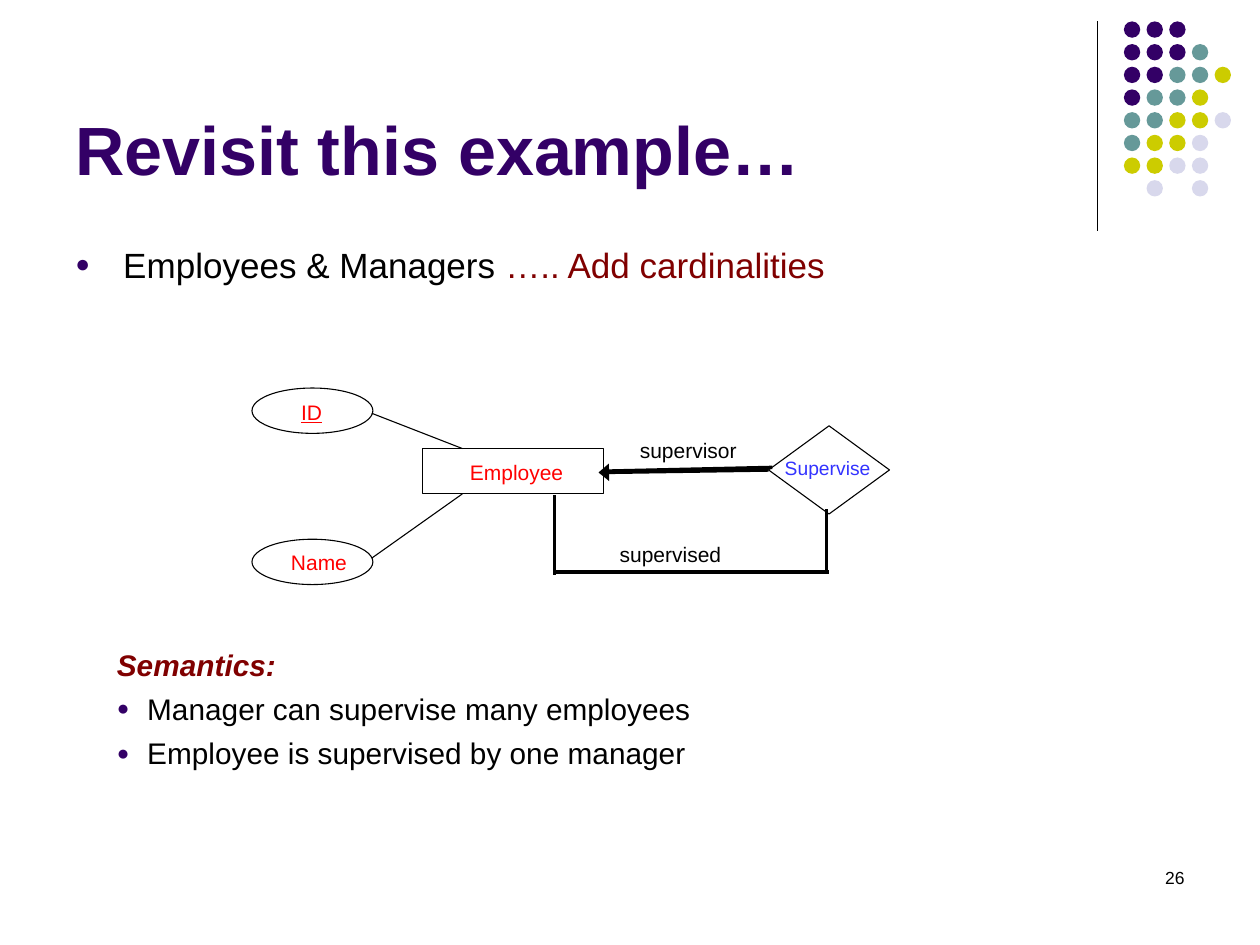
from lxml import etree
from pptx import Presentation
from pptx.dml.color import RGBColor
from pptx.enum.shapes import MSO_CONNECTOR, MSO_SHAPE
from pptx.enum.text import MSO_ANCHOR, MSO_AUTO_SIZE, PP_ALIGN
from pptx.oxml.ns import qn
from pptx.util import Inches, Pt

STRAIGHT = MSO_CONNECTOR.STRAIGHT
OVAL, RECTANGLE, DIAMOND = MSO_SHAPE.OVAL, MSO_SHAPE.RECTANGLE, MSO_SHAPE.DIAMOND
TOP, BOTTOM = MSO_ANCHOR.TOP, MSO_ANCHOR.BOTTOM
LEFT, RIGHT = PP_ALIGN.LEFT, PP_ALIGN.RIGHT
FIXED, GROW = MSO_AUTO_SIZE.NONE, MSO_AUTO_SIZE.SHAPE_TO_FIT_TEXT

BLACK = RGBColor(0x00, 0x00, 0x00)
PURPLE = RGBColor(0x33, 0x00, 0x66)
TEAL = RGBColor(0x66, 0x99, 0x99)
OLIVE = RGBColor(0xCC, 0xCC, 0x00)
LAVENDER = RGBColor(0xD8, 0xD8, 0xEC)
MAROON = RGBColor(0x80, 0x00, 0x00)
RED = RGBColor(0xFF, 0x00, 0x00)
BLUE = RGBColor(0x33, 0x33, 0xFF)

FONT = "Arial"
THIN, THICK = 0.62, 2
LEFT_SITE, RIGHT_SITE = 1, 3

DOT_ROWS = ["PPP", "PPPT", "PPTTO", "PTTO", "TTOOL", "TOOL", "OOLL", " L L"]
DOT_COLORS = {"P": PURPLE, "T": TEAL, "O": OLIVE, "L": LAVENDER}
DOT_LEFT, DOT_TOP, DOT_PITCH, DOT_SIZE = 8.92, 0.17, 0.18, 0.13

TITLE = [[("Revisit this example…", {"bold": True})]]
PAGE_NUMBER = [[("26", {})]]
TOPIC = [[("Employees & Managers ", {}), ("….. Add cardinalities", {"color": MAROON})]]
SEMANTICS_HEADING = [("Semantics:", {"color": MAROON, "bold": True, "italic": True})]
SEMANTICS = [
    [("Manager can supervise many employees", {})],
    [("Employee is supervised by one manager", {})],
]

NODES = {
    "employee": (RECTANGLE, (3.35, 3.56, 1.44, 0.36)),
    "id": (OVAL, (2, 3.08, 0.96, 0.36)),
    "name": (OVAL, (2, 4.28, 0.96, 0.36)),
    "supervise": (DIAMOND, (6.1, 3.38, 0.96, 0.7)),
}
NODE_LABELS = [
    ("Employee", (3.73, 3.65, 0.76, 0.2), {"color": RED}),
    ("ID", (2.39, 3.17, 0.18, 0.2), {"color": RED, "underline": True}),
    ("Name", (2.31, 4.36, 0.46, 0.2), {"color": RED}),
]
ROLE_LABELS = [
    ("Supervise", (6.13, 3.57, 0.9, 0.29), {"size": 11, "color": BLUE}),
    ("supervisor", (4.98, 3.42, 0.99, 0.3), {}),
    ("supervised", (4.82, 4.25, 1.02, 0.3), {}),
]
ATTRIBUTE_LINES = [((3.67, 3.56), (2.95, 3.28)), ((3.67, 3.92), (2.95, 4.43))]
SUPERVISED_LINES = [
    ((4.4, 4.54), (6.58, 4.54)),
    ((6.56, 4.54), (6.56, 4.04)),
    ((4.4, 4.56), (4.4, 3.93)),
]


def add_bullet(paragraph, indent):
    props = paragraph._p.get_or_add_pPr()
    props.set("marL", str(Inches(indent)))
    props.set("indent", str(-Inches(indent)))
    color = etree.SubElement(props, qn("a:buClr"))
    etree.SubElement(color, qn("a:srgbClr"), val=str(PURPLE))
    etree.SubElement(props, qn("a:buSzPct"), val="70000")
    etree.SubElement(props, qn("a:buFont"), typeface=FONT)
    etree.SubElement(props, qn("a:buChar"), char="●")


def add_text(slide, box, paragraphs, size=12, color=BLACK, align=LEFT, anchor=TOP,
             inset=(0.1, 0.05), wrap=True, space=0, bullets=None):
    frame = slide.shapes.add_textbox(*map(Inches, box)).text_frame
    frame.word_wrap = wrap
    frame.auto_size = FIXED if wrap else GROW
    frame.vertical_anchor = anchor
    frame.margin_left = frame.margin_right = Inches(inset[0])
    frame.margin_top = frame.margin_bottom = Inches(inset[1])
    for index, runs in enumerate(paragraphs):
        paragraph = frame.paragraphs[0] if index == 0 else frame.add_paragraph()
        paragraph.alignment = align
        paragraph.space_before = Pt(space)
        if bullets and bullets[index]:
            add_bullet(paragraph, bullets[index])
        for words, style in runs:
            run = paragraph.add_run()
            run.text = words
            font = run.font
            font.name, font.size = FONT, Pt(size)
            font.color.rgb = style.get("color", color)
            font.bold = style.get("bold", False)
            font.italic = style.get("italic", False)
            font.underline = style.get("underline", False)


def add_shape(slide, kind, box, fill=None):
    shape = slide.shapes.add_shape(kind, *map(Inches, box))
    shape.shadow.inherit = False
    if fill is None:
        shape.fill.background()
        shape.line.color.rgb = BLACK
        shape.line.width = Pt(THIN)
    else:
        shape.fill.solid()
        shape.fill.fore_color.rgb = fill
        shape.line.fill.background()
    return shape


def add_line(slide, start, end, width):
    line = slide.shapes.add_connector(STRAIGHT, *map(Inches, start + end))
    line.line.color.rgb = BLACK
    line.line.width = Pt(width)
    etree.SubElement(line._element.spPr, qn("a:effectLst"))
    return line


def add_dots(slide):
    for row, codes in enumerate(DOT_ROWS):
        for column, code in enumerate(codes):
            if code in DOT_COLORS:
                left = DOT_LEFT + column * DOT_PITCH
                top = DOT_TOP + row * DOT_PITCH
                add_shape(slide, OVAL, (left, top, DOT_SIZE, DOT_SIZE), DOT_COLORS[code])


def add_diagram(slide):
    nodes = {key: add_shape(slide, kind, box) for key, (kind, box) in NODES.items()}
    for words, box, style in NODE_LABELS:
        add_text(slide, box, [[(words, style)]], inset=(0, 0), wrap=False)
    for words, box, style in ROLE_LABELS:
        add_text(slide, box, [[(words, style)]], size=style.get("size", 12), wrap=False)
    for start, end in ATTRIBUTE_LINES:
        add_line(slide, start, end, THIN)
    for start, end in SUPERVISED_LINES:
        add_line(slide, start, end, THICK)

    supervisor_line = add_line(slide, (4.79, 3.74), (6.13, 3.71), THICK)
    supervisor_line.begin_connect(nodes["employee"], RIGHT_SITE)
    supervisor_arrow = add_line(slide, (4.75, 3.75), (6.1, 3.73), THICK)
    supervisor_arrow.end_connect(nodes["supervise"], LEFT_SITE)
    etree.SubElement(supervisor_arrow.line._get_or_add_ln(), qn("a:headEnd"),
                     type="triangle", w="lg", len="med")


def main():
    deck = Presentation()
    deck.slide_width, deck.slide_height = Inches(10), Inches(7.5)
    slide = deck.slides.add_slide(deck.slide_layouts[6])
    add_line(slide, (8.71, 0.17), (8.71, 1.83), 0.75)
    add_dots(slide)
    add_text(slide, (0.5, 0.13, 8.25, 1.42), TITLE, size=39, color=PURPLE, anchor=BOTTOM)
    add_text(slide, (7.17, 6.83, 2.33, 0.5), PAGE_NUMBER, size=10, align=RIGHT)
    add_text(slide, (0.5, 1.88, 7.5, 0.45), TOPIC, size=20, space=5, bullets=[0.38])
    add_diagram(slide)
    add_text(slide, (0.83, 5.08, 7.5, 1.08), [SEMANTICS_HEADING] + SEMANTICS,
             size=17, space=5, bullets=[None, 0.24, 0.24])
    deck.save("out.pptx")


if __name__ == "__main__":
    main()
